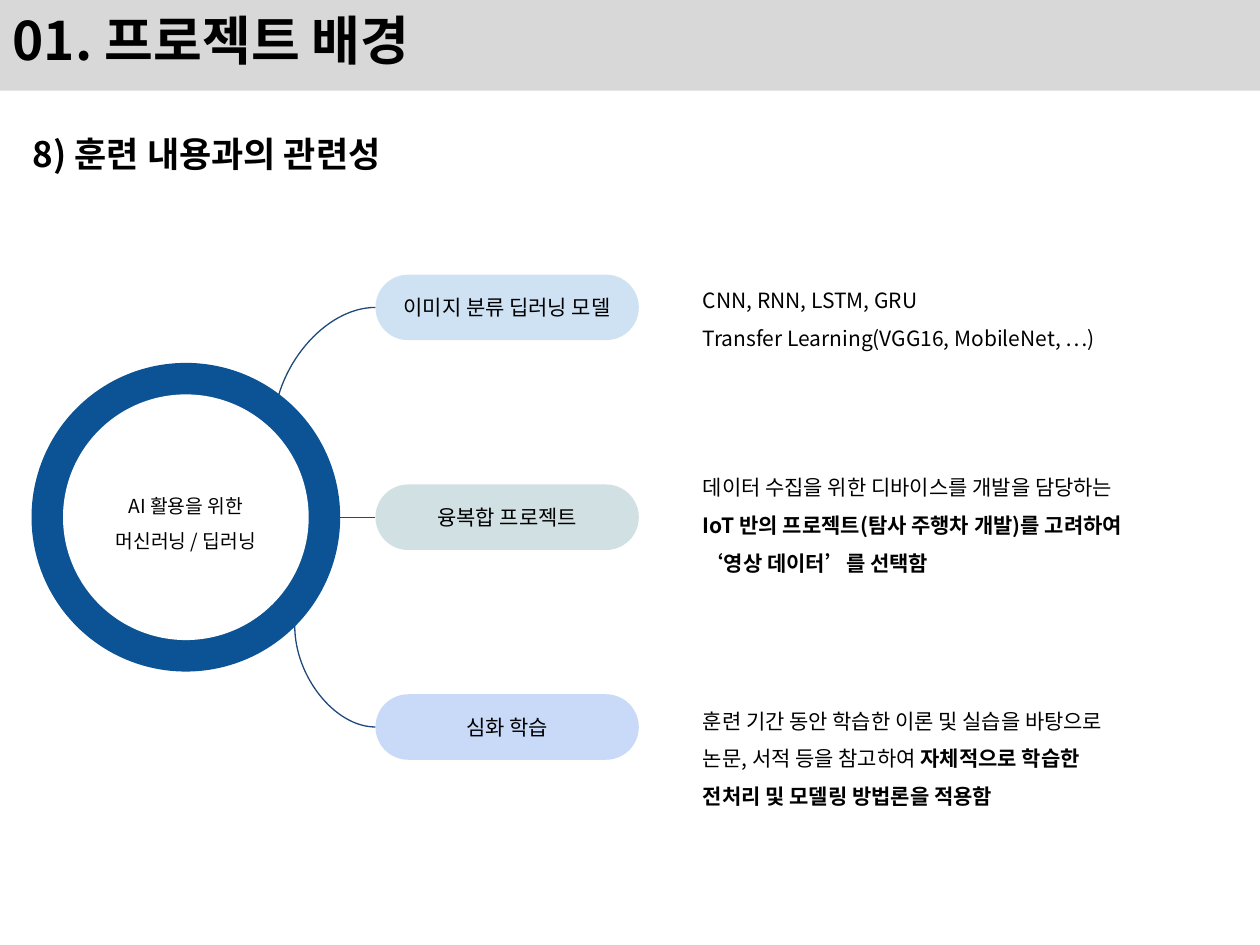
from lxml.etree import SubElement
from pptx import Presentation
from pptx.dml.color import RGBColor
from pptx.enum.shapes import MSO_CONNECTOR, MSO_SHAPE
from pptx.enum.text import MSO_ANCHOR, MSO_AUTO_SIZE, PP_ALIGN
from pptx.oxml.ns import qn
from pptx.util import Inches, Pt

BLACK = RGBColor(0x00, 0x00, 0x00)
WHITE = RGBColor(0xFF, 0xFF, 0xFF)
BAND_GREY = RGBColor(0xD8, 0xD8, 0xD8)
RING_BLUE = RGBColor(0x0B, 0x53, 0x94)
LINE_BLUE = RGBColor(0x1F, 0x49, 0x7D)
PALE_BLUE = RGBColor(0xCF, 0xE2, 0xF3)
PALE_GREEN = RGBColor(0xD0, 0xE0, 0xE3)
PALE_VIOLET = RGBColor(0xC9, 0xDA, 0xF8)

FONT = "Noto Sans CJK KR"
COLUMNS, ROWS = 100, 75


class SlideBuilder:
    """Holds the style and the current slide; lengths are grid columns and rows."""

    def __init__(self, presentation):
        self.column = presentation.slide_width / COLUMNS
        self.row = presentation.slide_height / ROWS
        self.slide = presentation.slides.add_slide(presentation.slide_layouts[1])

    def place(self, left, top, width, height):
        return (round(left * self.column), round(top * self.row),
                round(width * self.column), round(height * self.row))

    def fill_text(self, shape, lines, size, align=PP_ALIGN.LEFT, spacing=1.0,
                  anchor=MSO_ANCHOR.TOP, inset=0.1):
        """Each line is a list of (text, bold) runs."""
        frame = shape.text_frame
        frame.word_wrap = True
        frame.auto_size = MSO_AUTO_SIZE.NONE
        frame.vertical_anchor = anchor
        frame.margin_left = frame.margin_right = Inches(0.1)
        frame.margin_top = frame.margin_bottom = Inches(inset)
        for index, line in enumerate(lines):
            paragraph = frame.add_paragraph() if index else frame.paragraphs[0]
            paragraph.alignment = align
            paragraph.line_spacing = spacing
            paragraph.space_before = Pt(0)
            for text, bold in line:
                run = paragraph.add_run()
                run.text = text
                run.font.size = Pt(size)
                run.font.bold = bold
                run.font.color.rgb = BLACK
                run.font.name = FONT
                SubElement(run.font._element, qn("a:ea"), typeface=FONT)

    def shape(self, kind, box, color, shapes=None):
        shape = (shapes or self.slide.shapes).add_shape(kind, *self.place(*box))
        shape.shadow.inherit = False
        shape.fill.solid()
        shape.fill.fore_color.rgb = color
        shape.line.fill.background()
        return shape

    def band(self, *box):
        band = self.shape(MSO_SHAPE.RECTANGLE, box, BAND_GREY)
        self.slide.shapes._spTree.insert(2, band._element)

    def placeholder(self, index, box, text, size, **style):
        holder = self.slide.placeholders[index]
        holder.left, holder.top, holder.width, holder.height = self.place(*box)
        properties = holder.text_frame.paragraphs[0]._p.get_or_add_pPr()
        properties.set("marL", "0")
        properties.set("indent", "0")
        SubElement(properties, qn("a:buNone"))
        self.fill_text(holder, [[(text, True)]], size, inset=0.05, **style)

    def pill(self, box, color, text):
        pill = self.shape(MSO_SHAPE.ROUNDED_RECTANGLE, box, color)
        pill.adjustments[0] = 0.5
        self.fill_text(pill, [[(text, False)]], 12, PP_ALIGN.CENTER,
                       anchor=MSO_ANCHOR.MIDDLE)

    def connector(self, start, end):
        """A curve that leaves vertically and arrives horizontally, or a level line."""
        (x1, y1), (x2, y2) = start, end
        bent = y1 != y2
        if bent:
            # The quarter curve is laid out on its side, then turned by 270 degrees
            middle_x, middle_y = (x1 + x2) / 2, (y1 + y2) / 2
            half_width, half_height = (y1 - y2) / 2, (x2 - x1) / 2
            x1, x2 = middle_x - half_width, middle_x + half_width
            y1, y2 = middle_y - half_height, middle_y + half_height
        connector = self.slide.shapes.add_connector(
            MSO_CONNECTOR.CURVE, *self.place(x1, y1, x2, y2))
        connector.line.color.rgb = LINE_BLUE
        connector.line.width = Pt(0.75)
        properties = connector._element.spPr
        SubElement(properties, qn("a:effectLst"))
        if bent:
            properties.find(qn("a:xfrm")).set("rot", "16200000")
            properties.find(qn("a:prstGeom")).set("prst", "curvedConnector2")

    def ring(self, left, top, diameter, thickness, lines):
        group = self.slide.shapes.add_group_shape()
        self.shape(MSO_SHAPE.OVAL, (left, top, diameter, diameter),
                   RING_BLUE, group.shapes)
        inner = diameter - 2 * thickness
        core = self.shape(MSO_SHAPE.OVAL,
                          (left + thickness, top + thickness, inner, inner),
                          WHITE, group.shapes)
        self.fill_text(core, lines, 11, PP_ALIGN.CENTER, 1.5, MSO_ANCHOR.MIDDLE)

    def description(self, box, anchor, lines):
        text_box = self.slide.shapes.add_textbox(*self.place(*box))
        self.fill_text(text_box, lines, 12, PP_ALIGN.JUSTIFY, 1.5, anchor)


def main():
    presentation = Presentation()
    presentation.slide_width, presentation.slide_height = Inches(10), Inches(7.5)
    builder = SlideBuilder(presentation)

    # Header and section heading
    header = (0, 0, COLUMNS, 7.2)
    builder.band(*header)
    builder.placeholder(0, header, "01. 프로젝트 배경", 30.3, spacing=0.8,
                        anchor=MSO_ANCHOR.MIDDLE)
    builder.placeholder(1, (1.6, 9, 96.9, 49.5), "8) 훈련 내용과의 관련성", 20,
                        spacing=1.3)

    # Topics: colour, label, point on the ring, description box and lines
    topics = [
        (PALE_BLUE, "이미지 분류 딥러닝 모델", (21.7, 34.1),
         (54.8, 20.8, 34.1, 7.1), MSO_ANCHOR.TOP,
         [[("CNN, RNN, LSTM, GRU", False)],
          [("Transfer Learning(VGG16, MobileNet, …)", False)]]),
        (PALE_GREEN, "융복합 프로젝트", (24.5, 41.05),
         (54.8, 36.7, 43.7, 9), MSO_ANCHOR.MIDDLE,
         [[("데이터 수집을 위한 디바이스를 개발을 담당하는 ", False)],
          [("IoT 반의 프로젝트(탐사 주행차 개발)를 고려하여 ", True)],
          [("‘영상 데이터’를 선택함", True)]]),
        (PALE_VIOLET, "심화 학습", (23.4, 49.7),
         (54.8, 54.2, 42.3, 10.1), MSO_ANCHOR.TOP,
         [[("훈련 기간 동안 학습한 이론 및 실습을 바탕으로", False)],
          [("논문, 서적 등을 참고하여 ", False), ("자체적으로 학습한", True)],
          [("전처리 및 모델링 방법론을 적용함", True)]]),
    ]
    pill_left, pill_top, pill_width, pill_height, pitch = 29.8, 21.8, 20.9, 5.2, 16.65
    for index, (color, label, start, box, anchor, lines) in enumerate(topics):
        top = pill_top + index * pitch
        builder.pill((pill_left, top, pill_width, pill_height), color, label)
        builder.connector(start, (pill_left, round(top + pill_height / 2, 2)))
        builder.description(box, anchor, lines)

    # Central ring, in front of the connector ends
    builder.ring(2.5, 28.8, 24.5, 2.5,
                 [[("AI 활용을 위한", False)], [("머신러닝 / 딥러닝", False)]])

    presentation.save("out.pptx")


if __name__ == "__main__":
    main()
